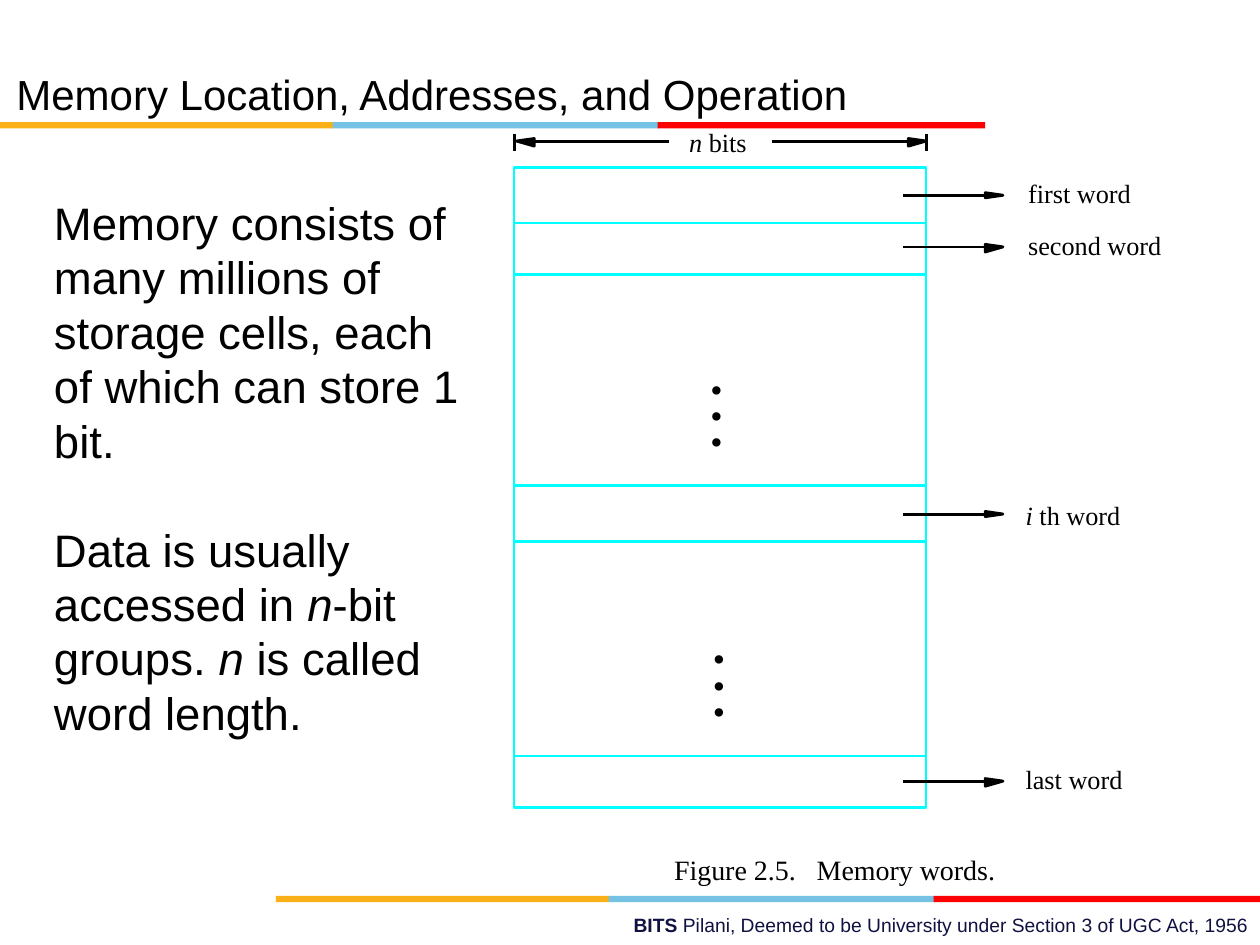
from pptx import Presentation
from pptx.dml.color import RGBColor
from pptx.enum.shapes import MSO_CONNECTOR, MSO_SHAPE
from pptx.enum.text import MSO_ANCHOR, PP_ALIGN
from pptx.oxml.ns import qn
from pptx.util import Inches, Pt
from lxml import etree

BLACK = RGBColor(0x00, 0x00, 0x00)
NAVY = RGBColor(0x10, 0x11, 0x41)
CYAN = RGBColor(0x00, 0xFF, 0xFF)
GOLD = RGBColor(0xFC, 0xB0, 0x17)
SKY = RGBColor(0x76, 0xC2, 0xE5)
RED = RGBColor(0xFF, 0x00, 0x00)
SANS = "Arial"
SERIF = "Times New Roman"


class Deck:
    line_width = Pt(1.63)

    def __init__(self, slide):
        self.s = slide

    def box(self, x, y, w, h, fill=None, line=None):
        sp = self.s.shapes.add_shape(
            MSO_SHAPE.RECTANGLE, Inches(x), Inches(y), Inches(w), Inches(h))
        sp.shadow.inherit = False
        if fill is None:
            sp.fill.background()
        else:
            sp.fill.solid()
            sp.fill.fore_color.rgb = fill
        if line is None:
            sp.line.fill.background()
        else:
            sp.line.color.rgb = line
            sp.line.width = self.line_width

    def line(self, x1, y1, x2, y2, color=BLACK):
        c = self.s.shapes.add_connector(
            MSO_CONNECTOR.STRAIGHT, Inches(x1), Inches(y1), Inches(x2), Inches(y2))
        c.line.color.rgb = color
        c.line.width = self.line_width
        etree.SubElement(c._element.spPr, qn("a:effectLst"))

    def arrow(self, x1, x2, y, drop):
        """Horizontal arrow from x1 to x2; drop is the head's depth below y."""
        base = x2 - 0.14 if x2 > x1 else x2 + 0.14
        self.line(x1, y, base, y)
        points = [(base, y + drop), (x2, y), (base, y - 0.02)]
        (x, top), *rest = [(Inches(px), Inches(py)) for px, py in points]
        fb = self.s.shapes.build_freeform(x, top, scale=1.0)
        fb.add_line_segments(rest, close=True)
        sp = fb.convert_to_shape()
        sp.shadow.inherit = False
        sp.fill.solid()
        sp.fill.fore_color.rgb = BLACK
        sp.line.color.rgb = BLACK
        sp.line.width = self.line_width

    def text(self, x, y, w, h, paragraphs, size, font=SERIF, color=BLACK,
             align=PP_ALIGN.LEFT, anchor=MSO_ANCHOR.TOP, inset=(0, 0),
             wrap=False, spacing=None, before=0):
        """Each paragraph is a list of (text, style) runs; style is '', 'b' or 'i'."""
        tf = self.s.shapes.add_textbox(
            Inches(x), Inches(y), Inches(w), Inches(h)).text_frame
        tf.word_wrap = wrap
        tf.vertical_anchor = anchor
        tf.margin_left = tf.margin_right = Inches(inset[0])
        tf.margin_top = Inches(inset[1])
        tf.margin_bottom = 0
        for i, runs in enumerate(paragraphs):
            p = tf.paragraphs[0] if i == 0 else tf.add_paragraph()
            p.alignment = align
            p.font.name, p.font.size, p.font.color.rgb = font, Pt(size), color
            if spacing:
                p.line_spacing = Pt(spacing)
            if i and before:
                p.space_before = Pt(before)
            for content, style in runs:
                r = p.add_run()
                r.text = content
                if style == "b":
                    r.font.bold = True
                elif style == "i":
                    r.font.italic = True

    def stripe(self, x, y):
        for dx, w, color in ((2.63, 2.6, SKY), (0, 2.64, GOLD), (5.22, 2.6, RED)):
            self.box(x + dx, y, w, 0.05, fill=color)


def main():
    prs = Presentation()
    prs.slide_width, prs.slide_height = Inches(10), Inches(7.5)
    d = Deck(prs.slides.add_slide(prs.slide_layouts[6]))

    # Header and footer
    d.stripe(0, 0.97)
    d.stripe(2.19, 7.11)
    d.text(3.46, 7.2, 6.55, 0.29,
           [[("BITS ", "b"),
             ("Pilani, Deemed to be University under Section 3 of UGC Act, 1956", "")]],
           11, SANS, NAVY, align=PP_ALIGN.RIGHT, inset=(0.1, 0.05), wrap=True)
    d.text(0.13, 0.29, 7.14, 0.65,
           [[("Memory Location, Addresses, and Operation", "")]],
           24, SANS, anchor=MSO_ANCHOR.BOTTOM, wrap=True)

    # Explanation
    d.text(0.33, 1.5, 3.58, 4.82,
           [[("Memory consists of many millions of storage cells, "
              "each of which can store 1 bit.", "")],
            [("Data is usually accessed in ", ""), ("n", "i"), ("-bit groups. ", ""),
             ("n", "i"), (" is called word length.", "")]],
           26, SANS, inset=(0.1, 0.05), wrap=True, spacing=31.1, before=31.1)

    # Memory block with its word boundaries
    left, right = 4.08, 7.35
    d.box(left, 1.33, right - left, 5.08, line=CYAN)
    for y in (1.77, 2.18, 3.85, 4.3, 6):
        d.line(left, y, right, y, CYAN)

    # Word width
    for x in (left, right):
        d.line(x, 1.06, x, 1.2)
    d.arrow(5.31, left + 0.02, 1.12, 0.04)
    d.arrow(6.13, right, 1.12, 0.04)
    d.text(5.47, 1, 0.47, 0.25, [[("n", "i"), (" bits", "")]], 15)

    # Word arrows and labels
    words = (
        (1.55, 0.02, 8.16, 1.41, 0.85, [("first word", "")]),
        (1.96, 0.04, 8.16, 1.82, 1.18, [("second word", "")]),
        (4.08, 0.02, 8.14, 3.96, 0.79, [("i", "i"), (" th word", "")]),
        (6.2, 0.04, 8.14, 6.06, 0.84, [("last word", "")]),
    )
    for y, drop, x, top, w, runs in words:
        d.arrow(7.17, 7.96, y, drop)
        d.text(x, top, w, 0.25, [runs], 15)

    # Omitted words
    for x, y in ((5.54, 2.6), (5.56, 4.74)):
        d.text(x, y, 0.29, 1.1, [[("•", "")]] * 3, 20,
               inset=(0.1, 0.44), wrap=True, spacing=15)

    # Caption
    d.text(5.35, 6.77, 2.77, 0.27, [[("Figure 2.5.   Memory words.", "")]], 16)

    prs.save("out.pptx")


if __name__ == "__main__":
    main()
